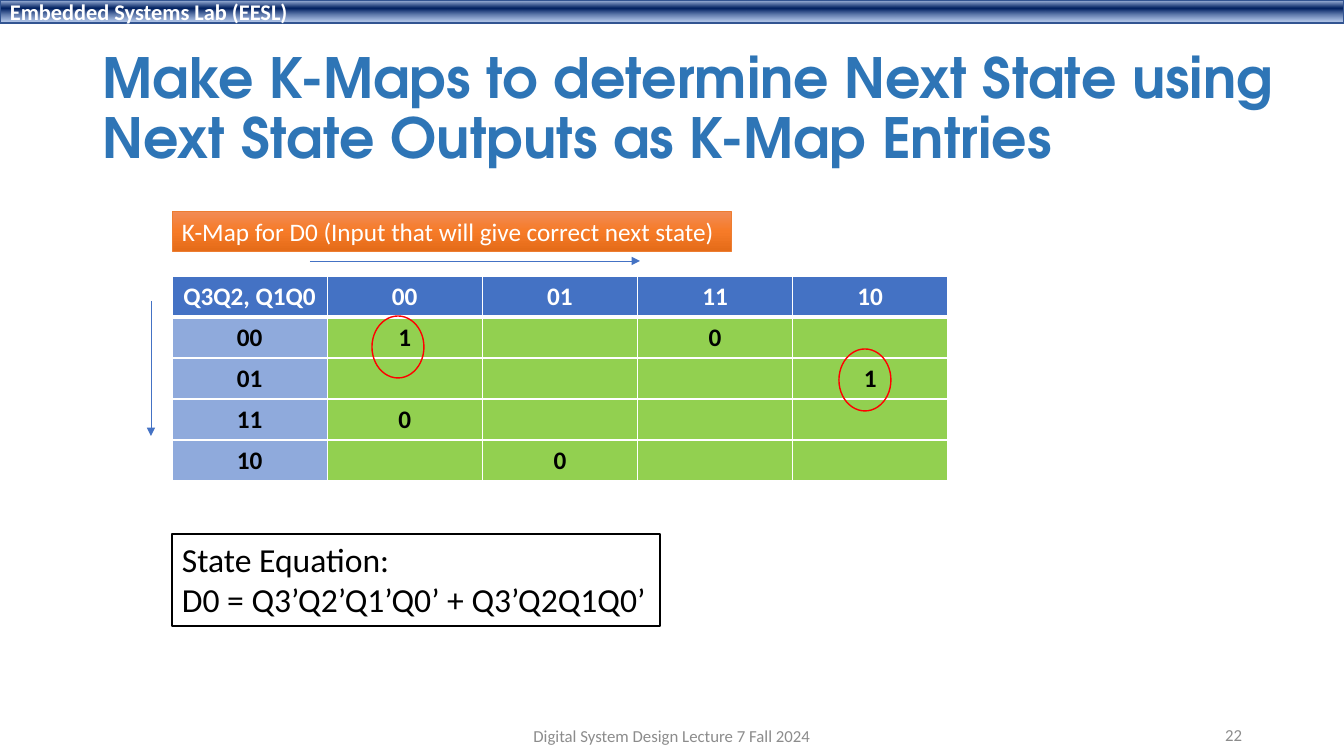
from dataclasses import dataclass

from lxml import etree
from pptx import Presentation
from pptx import util as u
from pptx.dml.color import RGBColor
from pptx.enum import shapes, text
from pptx.oxml import ns

# Content
LAB = "Embedded Systems Lab (EESL)"
TITLE = "Make K-Maps to determine Next State using Next State Outputs as K-Map Entries"
CAPTION = "K-Map for D0 (Input that will give correct next state)"
KMAP = [
    ["Q3Q2, Q1Q0", "00", "01", "11", "10"],
    ["00", "1", "", "0", ""],
    ["01", "", "", "", "1"],
    ["11", "0", "", "", ""],
    ["10", "", "0", "", ""],
]
EQUATION = ["State Equation:", "D0 = Q3’Q2’Q1’Q0’ + Q3’Q2Q1Q0’"]
FOOTER = "Digital System Design Lecture 7 Fall 2024"
PAGE = "22"

# Places in px: left, top, width, height
LEFT = 172
TABLE = (LEFT, 276, 776, 205)
RINGS = [(372, 316), (839, 349)]
RING_SIZE = (52, 62)
ARROWS = [(151, 301, 151, 436), (310, 261, 640, 261)]  # from x, y to x, y


@dataclass(frozen=True)
class Theme:
    body: str = "Calibri"
    heading: str = "TeX Gyre Adventor"
    title: str = "2E75B6"
    accent: str = "4472C4"
    side: str = "8FAADC"
    cell: str = "92D050"
    ring: str = "FF0000"
    orange: str = "ED7D31"
    navy: str = "325491"
    grey: str = "8C8C8C"
    black: str = "000000"
    white: str = "FFFFFF"
    # Gradient stops: position in percent, colour, opacity in percent
    band: tuple = ((2, "ABC0E4", 100), (38, "002060", 100), (93, "7E9ED6", 64))
    caption: tuple = ((0, "F18C57", 100), (50, "F67B28", 100), (100, "E56C19", 100))
    title_size: float = 39.6
    equation_size: int = 24
    body_size: int = 18
    band_size: int = 16
    footer_size: int = 12


THEME = Theme()
PX = 914400 / 100.8


def px(*lengths):
    return [u.Emu(round(length * PX)) for length in lengths]


def child(parent, tag, **attributes):
    return etree.SubElement(parent, ns.qn(tag), attributes)


def write(frame, lines, size=THEME.body_size, color=THEME.black, font=THEME.body, bold=False,
          align=text.PP_ALIGN.LEFT, anchor=text.MSO_ANCHOR.TOP, spacing=None, wrap=True):
    frame.word_wrap = wrap
    frame.vertical_anchor = anchor
    for index, line in enumerate(lines):
        paragraph = frame.add_paragraph() if index else frame.paragraphs[0]
        paragraph.alignment = align
        paragraph.line_spacing = spacing
        run = paragraph.add_run()
        run.text = line
        run.font.name, run.font.size, run.font.bold = font, u.Pt(size), bold
        run.font.color.rgb = RGBColor.from_string(color)


def fill_gradient(shape, stops):
    shape.fill.gradient()
    shape.fill.gradient_angle = 270
    stop_list = shape._element.spPr.find(".//" + ns.qn("a:gsLst"))
    for stop in list(stop_list):
        stop_list.remove(stop)
    for position, color, opacity in stops:
        stop = child(stop_list, "a:gs", pos=str(position * 1000))
        rgb = child(stop, "a:srgbClr", val=color)
        if opacity < 100:
            child(rgb, "a:alpha", val=str(opacity * 1000))


def add_shape(slide, kind, box, line, width=1, fill=None, stops=None):
    shape = slide.shapes.add_shape(kind, *px(*box))
    shape.shadow.inherit = False
    shape.line.color.rgb = RGBColor.from_string(line)
    shape.line.width = u.Pt(width)
    if stops:
        fill_gradient(shape, stops)
    elif fill:
        shape.fill.solid()
        shape.fill.fore_color.rgb = RGBColor.from_string(fill)
    else:
        shape.fill.background()
    return shape


def add_text(slide, box, lines, **style):
    write(slide.shapes.add_textbox(*px(*box)).text_frame, lines, **style)


def set_borders(cell, **widths):
    properties = cell._tc.get_or_add_tcPr()
    for side in "LRTB":
        border = child(properties, "a:ln" + side, w=str(u.Pt(widths.get(side, 1))))
        child(child(border, "a:solidFill"), "a:srgbClr", val=THEME.white)


def add_kmap(slide):
    table = slide.shapes.add_table(len(KMAP), len(KMAP[0]), *px(*TABLE)).table
    for r, row in enumerate(KMAP):
        for c, value in enumerate(row):
            cell = table.cell(r, c)
            set_borders(cell, **({"B": 3} if r == 0 else {"T": 3} if r == 1 else {}))
            cell.fill.solid()
            fill = THEME.accent if r == 0 else THEME.side if c == 0 else THEME.cell
            cell.fill.fore_color.rgb = RGBColor.from_string(fill)
            write(cell.text_frame, [value], bold=True, align=text.PP_ALIGN.CENTER,
                  color=THEME.black if r else THEME.white)


def add_arrow(slide, ends):
    arrow = slide.shapes.add_connector(shapes.MSO_CONNECTOR.STRAIGHT, *px(*ends))
    arrow.line.color.rgb = RGBColor.from_string(THEME.accent)
    arrow.line.width = u.Pt(0.5)
    child(arrow.line._get_or_add_ln(), "a:tailEnd", type="triangle")
    child(arrow._element.spPr, "a:effectLst")


def main():
    presentation = Presentation()
    presentation.slide_width, presentation.slide_height = px(1344, 756)
    slide = presentation.slides.add_slide(presentation.slide_layouts[6])
    rectangle = shapes.MSO_SHAPE.RECTANGLE
    middle = text.MSO_ANCHOR.MIDDLE

    # Top band and title
    band = add_shape(slide, rectangle, (0, 0, 1344, 23), THEME.navy, stops=THEME.band)
    write(band.text_frame, [LAB], size=THEME.band_size, color=THEME.white, bold=True, anchor=middle)
    add_text(slide, (93, 23, 1215, 175), [TITLE], size=THEME.title_size, color=THEME.title,
             font=THEME.heading, bold=True, anchor=middle, spacing=0.9)

    # K-map with its caption
    add_kmap(slide)
    caption = add_shape(slide, rectangle, (LEFT, 211, 559, 40), THEME.orange, 0.5, stops=THEME.caption)
    write(caption.text_frame, [CAPTION], color=THEME.white, wrap=False)

    # State equation
    equation = add_shape(slide, rectangle, (LEFT, 534, 488, 92), THEME.black, fill=THEME.white)
    write(equation.text_frame, EQUATION, size=THEME.equation_size, wrap=False)

    # Rings around the ones, and reading directions
    for corner in RINGS:
        add_shape(slide, shapes.MSO_SHAPE.OVAL, corner + RING_SIZE, THEME.ring)
    for ends in ARROWS:
        add_arrow(slide, ends)

    # Footer
    footer = {"size": THEME.footer_size, "color": THEME.grey, "anchor": middle}
    add_text(slide, (950, 715, 302, 40), [PAGE], align=text.PP_ALIGN.RIGHT, **footer)
    add_text(slide, (445, 716, 454, 40), [FOOTER], align=text.PP_ALIGN.CENTER, **footer)

    presentation.save("out.pptx")


if __name__ == "__main__":
    main()
